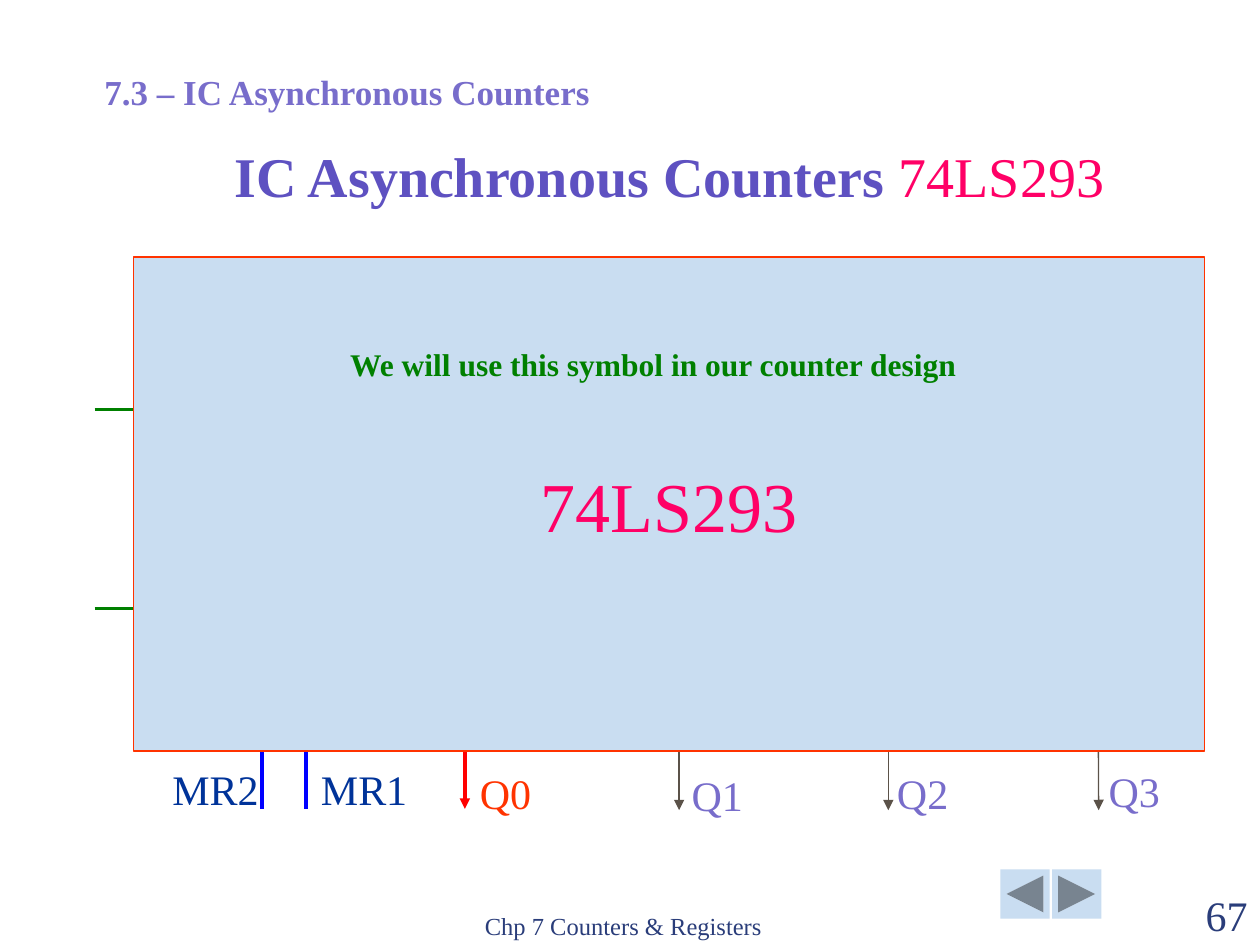
from lxml import etree
from pptx import Presentation
from pptx.dml.color import RGBColor
from pptx.enum.shapes import MSO_CONNECTOR, MSO_SHAPE
from pptx.enum.text import MSO_ANCHOR, PP_ALIGN
from pptx.oxml.ns import qn
from pptx.util import Inches, Pt

LEFT, CENTER, RIGHT = PP_ALIGN.LEFT, PP_ALIGN.CENTER, PP_ALIGN.RIGHT
TOP, MIDDLE, BOTTOM = MSO_ANCHOR.TOP, MSO_ANCHOR.MIDDLE, MSO_ANCHOR.BOTTOM
BACK = MSO_SHAPE.ACTION_BUTTON_BACK_OR_PREVIOUS
FORWARD = MSO_SHAPE.ACTION_BUTTON_FORWARD_OR_NEXT

FONT = "Times New Roman"
PALE_BLUE = RGBColor(0xC9, 0xDD, 0xF1)
NAVY = RGBColor(0x2A, 0x3D, 0x7A)
RESET_BLUE = RGBColor(0x00, 0x33, 0x99)
BLUE = RGBColor(0x00, 0x00, 0xFF)
RED = RGBColor(0xFF, 0x00, 0x00)
ORANGE = RGBColor(0xFF, 0x33, 0x00)
GREEN = RGBColor(0x00, 0x80, 0x00)
PINK = RGBColor(0xFF, 0x00, 0x66)
VIOLET = RGBColor(0x5E, 0x51, 0xC1)
LILAC = RGBColor(0x78, 0x6D, 0xCB)
GREY = RGBColor(0x5B, 0x52, 0x49)

CHIP = "74LS293"
# (from, to, colour, width, arrow end)
PINS = [
    ((3.69, 5.5), (3.69, 6.42), RED, 2, "tailEnd"),
    ((2.43, 5.17), (2.43, 6.42), BLUE, 2, "headEnd"),
    ((2.08, 6.42), (2.08, 5.39), BLUE, 2, "tailEnd"),
    ((0.75, 4.83), (2.1, 4.83), GREEN, 2, "tailEnd"),
    ((0.75, 3.25), (1.97, 3.25), GREEN, 2, "tailEnd"),
    ((5.39, 2.81), (5.39, 6.43), GREY, 0.75, "tailEnd"),
    ((7.05, 2.81), (7.05, 6.43), GREY, 0.75, "tailEnd"),
    ((8.7, 2.81), (8.72, 6.43), GREY, 0.75, "tailEnd"),
]
# (text, left, top, width, colour, alignment)
PIN_LABELS = [
    ("MR1", 2.42, 6.01, 0.94, RESET_BLUE, CENTER),
    ("MR2", 1.27, 6.01, 1.01, RESET_BLUE, LEFT),
    ("Q0", 3.71, 6.04, 0.61, ORANGE, LEFT),
    ("Q1", 5.39, 6.06, 0.61, LILAC, LEFT),
    ("Q2", 7.02, 6.04, 0.61, LILAC, LEFT),
    ("Q3", 8.7, 6.03, 0.61, LILAC, LEFT),
]


def write(sp, runs, align=LEFT, anchor=TOP, wrap=True):
    """Fill a shape with one paragraph of (text, size, colour, bold) runs."""
    tf = sp.text_frame
    tf.word_wrap = wrap
    tf.vertical_anchor = anchor
    p = tf.paragraphs[0]
    p.alignment = align
    for text, size, color, bold in runs:
        r = p.add_run()
        r.text = text
        r.font.name = FONT
        r.font.size = Pt(size)
        r.font.bold = bold
        r.font.color.rgb = color


def add_text(s, box, text, size, color, bold=False, **layout):
    sp = s.shapes.add_textbox(*map(Inches, box))
    write(sp, [(text, size, color, bold)], **layout)


def add_block(s, kind, box, line=None):
    sp = s.shapes.add_shape(kind, *map(Inches, box))
    sp.shadow.inherit = False
    sp.fill.solid()
    sp.fill.fore_color.rgb = PALE_BLUE
    if line is None:
        sp.line.fill.background()
    else:
        sp.line.color.rgb = line
        sp.line.width = Pt(0.75)
    return sp


def add_arrow(s, start, end, color, width, arrow_end):
    cx = s.shapes.add_connector(MSO_CONNECTOR.STRAIGHT, *map(Inches, start + end))
    cx.line.color.rgb = color
    cx.line.width = Pt(width)
    ln = cx.line._get_or_add_ln()
    etree.SubElement(ln, qn(f"a:{arrow_end}"), type="triangle")
    etree.SubElement(ln.getparent(), qn("a:effectLst"))


def main():
    prs = Presentation()
    prs.slide_width, prs.slide_height = Inches(10), Inches(7.5)
    s = prs.slides.add_slide(prs.slide_layouts[6])

    for kind, left in ((BACK, 7.94), (FORWARD, 8.35)):
        add_block(s, kind, (left, 6.9, 0.39, 0.39))
    add_text(s, (3.75, 7.01, 3.17, 0.5), "Chp 7 Counters & Registers", 14, NAVY,
             anchor=BOTTOM)
    add_text(s, (9, 7.01, 1, 0.5), "67", 24, NAVY, align=RIGHT, anchor=BOTTOM)

    for pin in PINS:
        add_arrow(s, *pin)
    for text, left, top, width, color, align in PIN_LABELS:
        add_text(s, (left, top, width, 0.5), text, 24, color, align=align)

    title = s.shapes.add_textbox(*map(Inches, (1.14, 0.91, 8.5, 0.83)))
    write(title, [("IC Asynchronous Counters ", 32, VIOLET, True),
                  (CHIP, 32, PINK, False),
                  (" ", 44, LILAC, True)], align=CENTER, anchor=BOTTOM)

    chip = add_block(s, MSO_SHAPE.RECTANGLE, (1.06, 2.04, 8.5, 3.92), ORANGE)
    write(chip, [(CHIP, 40, PINK, False)], align=CENTER, anchor=MIDDLE, wrap=False)

    add_text(s, (0.73, 0.51, 5.59, 0.43), "7.3 – IC Asynchronous Counters", 20,
             LILAC, bold=True)
    add_text(s, (2.67, 2.69, 5.03, 0.4),
             "We will use this symbol in our counter design", 18, GREEN, bold=True,
             align=CENTER, wrap=False)
    prs.save("out.pptx")


if __name__ == "__main__":
    main()
